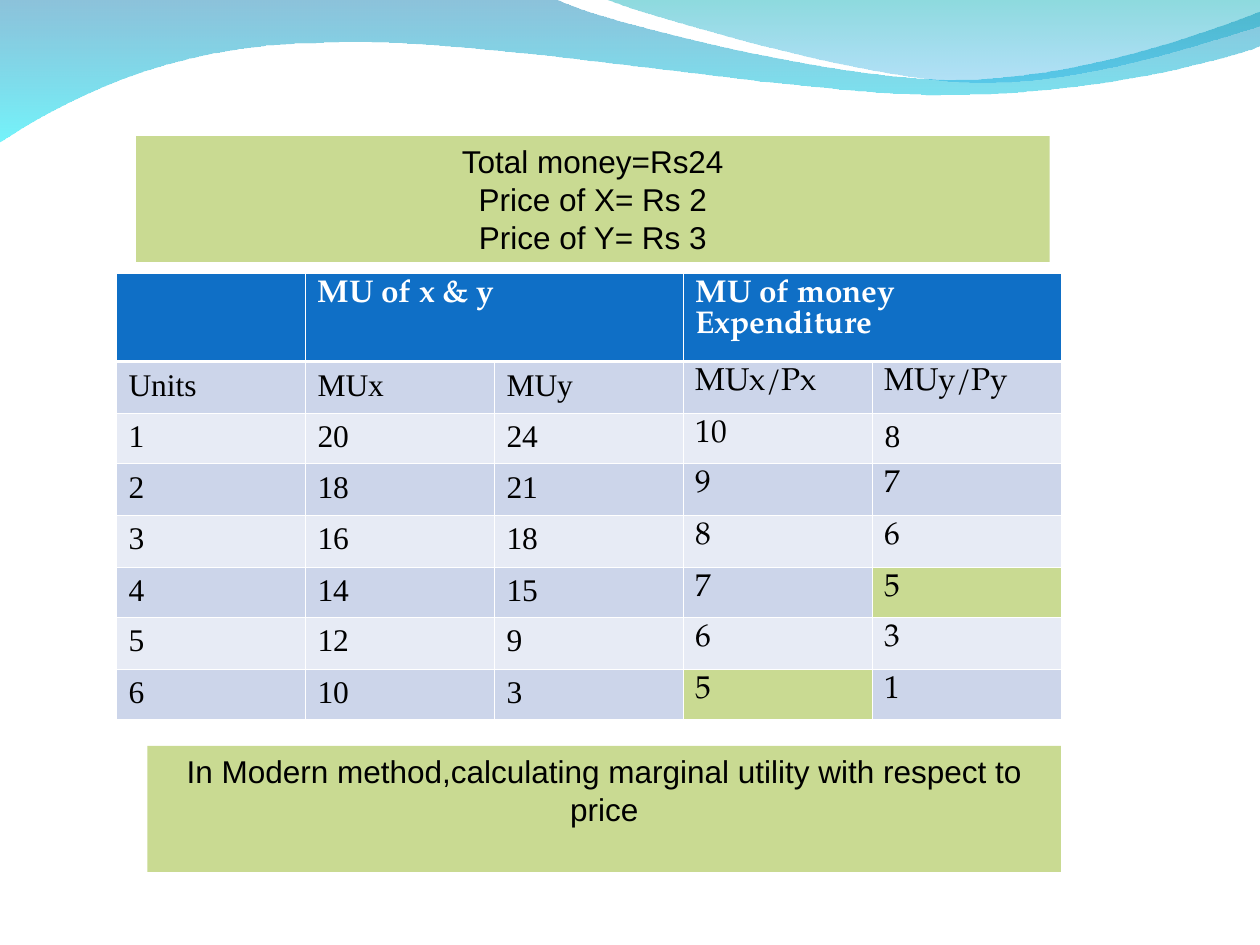
from dataclasses import dataclass

from lxml import etree
from pptx import Presentation
from pptx import util as u
from pptx.dml import color
from pptx.enum import shapes as sh, text as tx
from pptx.oxml import ns

WHITE = color.RGBColor(0xFF, 0xFF, 0xFF)
BLACK = color.RGBColor(0, 0, 0)
BLUE = color.RGBColor(0x0F, 0x6F, 0xC6)
DARK = color.RGBColor(0xCC, 0xD5, 0xEA)
PALE = color.RGBColor(0xE7, 0xEB, 0xF5)
GREEN = color.RGBColor(0xC9, 0xDA, 0x92)
NAVY = color.RGBColor(0x00, 0x79, 0xAF)
CYAN = color.RGBColor(0x00, 0xEB, 0xF8)
TEAL = color.RGBColor(0x00, 0xAD, 0xB6)
SKY = color.RGBColor(0x00, 0x9B, 0xE5)
SERIF = "TeX Gyre Pagella"
ROMAN = "Times New Roman"


@dataclass
class Wave:
    start: tuple
    legs: list
    stops: list


@dataclass
class Box:
    left: float
    top: float
    lines: list


WAVES = [
    Wave((0, -0.01), [
        [(4.4, -0.01)],
        [(4.76, 0.17), (6.64, 0.63), (7.58, 0.63)],
        [(8.53, 0.63), (9.58, 0.26), (10, 0.09)],
        [(10.01, 0.36)],
        [(9.83, 0.44), (8.7, 0.76), (7.46, 0.75)],
        [(6.22, 0.75), (3.82, 0.28), (2.57, 0.34)],
        [(1.29, 0.35), (0.46, 0.83), (-0.01, 1.13)],
    ], [(NAVY, 45), (CYAN, 55)]),
    Wave((4.79, -0.01), [
        [(5.09, 0.11), (6.82, 0.62), (7.69, 0.65)],
        [(8.56, 0.69), (9.61, 0.32), (10, 0.21)],
        [(10, 0)],
    ], [(TEAL, 45), (SKY, 30)]),
]

BOXES = [
    Box(1.08, 1.08, ["Total money=Rs24", "Price of X= Rs 2", "Price of Y= Rs 3"]),
    Box(1.17, 5.92, ["In Modern method,calculating marginal utility "
                     "with respect to price"]),
]

HEAD = ["", "MU of x & y", "", "MU of money Expenditure", ""]
ROWS = [
    HEAD,
    ["Units", "MUx", "MUy", "MUx/Px", "MUy/Py"],
    [1, 20, 24, 10, 8],
    [2, 18, 21, 9, 7],
    [3, 16, 18, 8, 6],
    [4, 14, 15, 7, 5],
    [5, 12, 9, 6, 3],
    [6, 10, 3, 5, 1],
]
TALL = [0.7, 0.41, 0.4, 0.41, 0.41, 0.4, 0.41, 0.4]
MARKS = {(5, 4), (7, 3)}
PLAIN = {(2, 4)}


def curve(shape, legs: list) -> None:
    lines = iter(list(shape._element.iter(ns.qn("a:lnTo"))))
    for leg in legs:
        first, *rest = [next(lines) for _ in leg]
        if not rest:
            continue
        bend = etree.Element(ns.qn("a:cubicBezTo"))
        first.addprevious(bend)
        for line in (first, *rest):
            bend.append(line[0])
            line.getparent().remove(line)


def draw_wave(slide, wave: Wave) -> None:
    dots = [wave.start] + [dot for leg in wave.legs for dot in leg]
    pts = [(u.Inches(x), u.Inches(y)) for x, y in dots]
    pen = slide.shapes.build_freeform(*pts[0])
    pen.add_line_segments(pts[1:], close=True)
    shape = pen.convert_to_shape()
    curve(shape, wave.legs)
    shape.shadow.inherit = False
    shape.line.fill.background()
    shape.fill.gradient()
    shape.fill.gradient_angle = 270
    for stop, (tint, alpha), place in zip(shape.fill.gradient_stops, wave.stops, (0, 1)):
        stop.color.rgb = tint
        stop.position = place
    for node, (tint, alpha) in zip(shape._element.iter(ns.qn("a:srgbClr")), wave.stops):
        etree.SubElement(node, ns.qn("a:alpha"), val=str(alpha * 1000))


def draw_box(slide, box: Box) -> None:
    shape = slide.shapes.add_shape(
        sh.MSO_SHAPE.RECTANGLE, u.Inches(box.left), u.Inches(box.top),
        u.Inches(7.25), u.Inches(1))
    shape.shadow.inherit = False
    shape.fill.solid()
    shape.fill.fore_color.rgb = GREEN
    shape.line.fill.background()
    frame = shape.text_frame
    frame.word_wrap = True
    frame.vertical_anchor = tx.MSO_ANCHOR.TOP
    frame.text = "\n".join(box.lines)
    for para in frame.paragraphs:
        para.alignment = tx.PP_ALIGN.CENTER
        style(para, "Arial", BLACK)


def style(para, face: str, tint: color.RGBColor, bold: bool = False) -> None:
    font = para.font
    font.name, font.size, font.bold = face, u.Pt(18), bold
    font.color.rgb = tint


def edge(cell, row: int) -> None:
    props = cell._tc.get_or_add_tcPr()
    for side in "LRTB":
        thick = (row, side) in ((0, "B"), (1, "T"))
        line = etree.SubElement(props, ns.qn("a:ln" + side),
                                w=str(u.Pt(1.47 if thick else 0.45)))
        fill = etree.SubElement(line, ns.qn("a:solidFill"))
        etree.SubElement(fill, ns.qn("a:srgbClr"), val=str(WHITE))


def draw_cell(cell, row: int, col: int) -> None:
    edge(cell, row)
    cell.fill.solid()
    band = BLUE if row == 0 else DARK if row % 2 else PALE
    cell.fill.fore_color.rgb = GREEN if (row, col) in MARKS else band
    value = str(ROWS[row][col])
    if not value:
        return
    cell.text = value
    para = cell.text_frame.paragraphs[0]
    serif = row == 0 or (col > 2 and (row, col) not in PLAIN)
    style(para, SERIF if serif else ROMAN, BLACK if row else WHITE, row == 0)


def draw_table(slide) -> None:
    table = slide.shapes.add_table(
        len(ROWS), len(HEAD), u.Inches(0.92), u.Inches(2.17),
        u.Inches(7.5), u.Inches(sum(TALL))).table
    for row, tall in zip(table.rows, TALL):
        row.height = u.Inches(tall)
    for col in (1, 3):
        table.cell(0, col).merge(table.cell(0, col + 1))
    for row in range(len(ROWS)):
        for col in range(len(HEAD)):
            draw_cell(table.cell(row, col), row, col)


def main() -> None:
    deck = Presentation()
    deck.slide_width, deck.slide_height = u.Inches(10), u.Inches(7.5)
    slide = deck.slides.add_slide(deck.slide_layouts[6])
    for wave in WAVES:
        draw_wave(slide, wave)
    draw_table(slide)
    for box in BOXES:
        draw_box(slide, box)
    deck.save("out.pptx")


if __name__ == "__main__":
    main()
